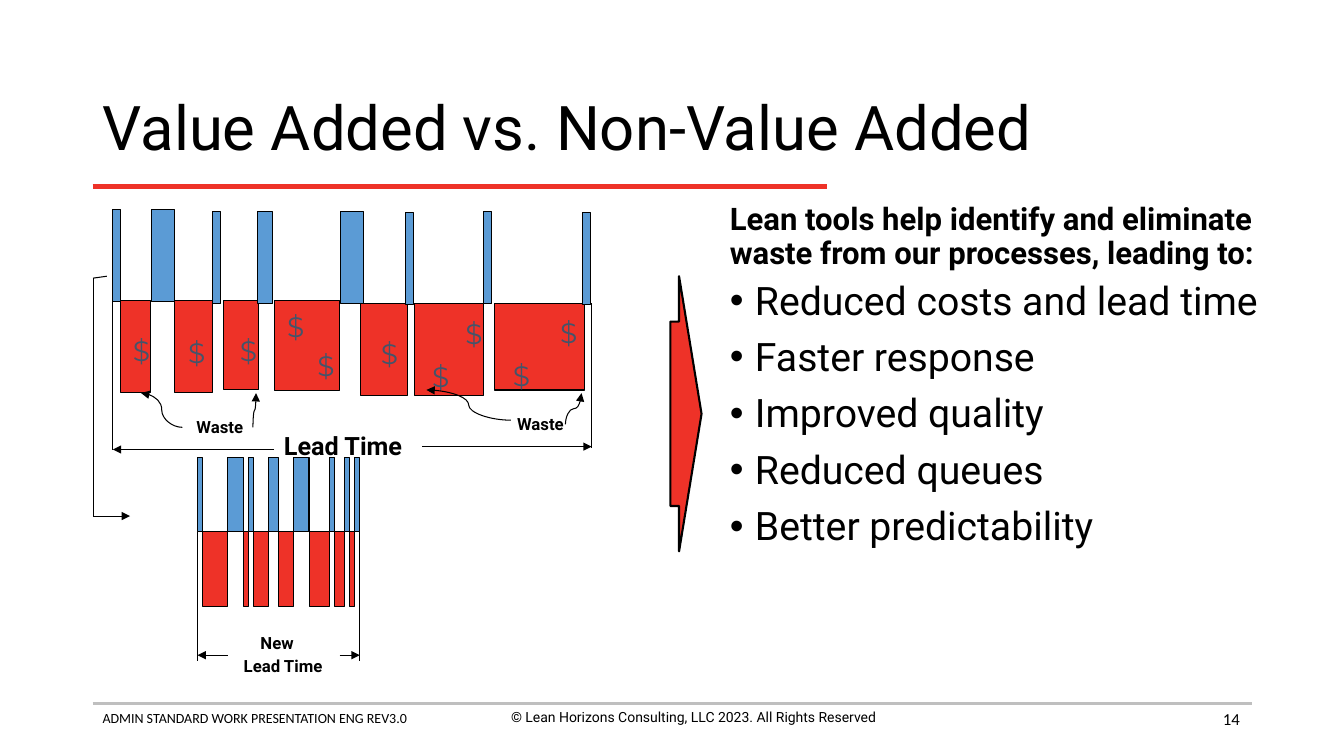
from pptx import Presentation
from pptx.dml.color import RGBColor as RGB
from pptx.enum.shapes import MSO_CONNECTOR as Conn, MSO_SHAPE as Kind
from pptx.enum.text import MSO_ANCHOR as Anchor, MSO_AUTO_SIZE as Fit, PP_ALIGN as Align
from pptx.oxml.ns import qn
from pptx.util import Pt
from lxml.etree import SubElement as Sub

TITLE = "Value Added vs. Non-Value Added"
HEAD = "Lean tools help identify and eliminate waste from our processes, leading to:"
GAINS = ["Reduced costs and lead time", "Faster response", "Improved quality",
         "Reduced queues", "Better predictability"]
HUES = {"red": "EE3228", "blue": "5B9BD5", "black": "000000",
        "grey": "BFBFBF", "slate": "44546A"}

WASTE = [(86.4, 214.6, 20.9, 65.5), (124.6, 214.6, 27.4, 65.5),
         (159.8, 214.6, 25.2, 63.4), (195.8, 214.6, 46.8, 64.1),
         (257.8, 216.7, 33.1, 65.5), (295.9, 216.7, 49.7, 65.5),
         (353.5, 216.7, 64.1, 61.9)]
VALUE = [(80.6, 149.8, 5.8), (108, 149.8, 16.6), (151.9, 151.2, 5.8),
         (183.6, 151.2, 10.8), (243.4, 151.2, 16.6), (289.4, 151.9, 5.8),
         (345.6, 151.2, 5.8), (416.2, 151.9, 5.8)]
TALL = 65.5
COSTS = [(87.8, 234.7), (127.4, 236.2), (164.2, 234.7), (198, 217.4),
         (219.6, 245.5), (265, 236.9), (325.4, 222.5), (301.7, 253.4),
         (393.1, 221.8), (359.3, 252.7)]

UNITS = [1, 5, 3, 1, 1, 3, 2, 3, 3, 4, 1, 2, 1, 1, 1]
UNIT, LEFT, TOP, HIGH = 3.62, 141.1, 327, 53
RIGHT = LEFT + UNIT * sum(UNITS)

RULES = [(80.6, 214.6, 80.6, 321.1), (422.6, 216.7, 422.6, 319.7),
         (76.3, 197.3, 66.5, 198.7), (66.5, 198.7, 66.5, 368.6),
         (LEFT, TOP + HIGH, LEFT, 472.3), (RIGHT, TOP + HIGH, RIGHT, 472.3)]
ARROWS = [(66.5, 368.6, 92.9, 368.6), (195.8, 321.1, 80.6, 321.1),
          (301.7, 319, 422.6, 319), (162.7, 468, LEFT, 468),
          (242.6, 468, RIGHT, 468)]
FLAT = [(130.3, 305.3, 100.8, 280.8), (365, 300.2, 304.6, 278.6)]
STEEP = [(180.7, 305.3, 182.9, 280.8), (403.9, 303.1, 415.4, 280.8)]
LABELS = [("Waste", 133.2, 294.5, 49.7, 21.6, 12),
          ("Waste", 362.2, 292.3, 49.7, 21.6, 12),
          ("Lead Time", 195.8, 303.8, 103.7, 28.8, 18),
          ("New\nLead Time", 167, 448.2, 71.3, 38, 12)]
FOOT = [("ADMIN STANDARD WORK PRESENTATION ENG REV3.0", 66.2, 503.3, 328.3, 31.7,
         10, "Calibri", Align.LEFT, Anchor.TOP),
        ("© Lean Horizons Consulting, LLC 2023. All Rights Reserved", 331.2, 502.6,
         328.3, 31.7, 10, "Roboto", Align.CENTER, Anchor.TOP),
        ("14", 676.8, 499, 216, 28.8, 12, "Calibri", Align.RIGHT, Anchor.MIDDLE)]

deck = Presentation()
deck.slide_width, deck.slide_height = Pt(960), Pt(540)
slide = deck.slides.add_slide(deck.slide_layouts[7])
parts = slide.shapes


def style(par, size, face="Roboto", bold=False, hue="black"):
    for run in par.runs:
        font = run.font
        font.size, font.name, font.bold = Pt(size), face, bold
        font.color.rgb = RGB.from_string(HUES[hue])


def write(text, x, y, w, h, size, face="Roboto", align=Align.LEFT,
          anchor=Anchor.TOP, bold=False, hue="black", wrap=True):
    frame = parts.add_textbox(Pt(x), Pt(y), Pt(w), Pt(h)).text_frame
    frame.text, frame.word_wrap, frame.vertical_anchor = text, wrap, anchor
    for par in frame.paragraphs:
        par.alignment = align
        style(par, size, face, bold, hue)
    return frame


def fill(holder, text, x, y, w, h, size, anchor, bold=False):
    holder.left, holder.top, holder.width, holder.height = Pt(x), Pt(y), Pt(w), Pt(h)
    frame = holder.text_frame
    frame.text, frame.word_wrap = text, True
    frame.auto_size, frame.vertical_anchor = Fit.NONE, anchor
    for i, par in enumerate(frame.paragraphs):
        par.alignment, par.line_spacing = Align.LEFT, 0.9
        par.space_before = Pt(10 if i else 0)
        style(par, size, bold=bold)
    return frame


def block(kind, x, y, w, h, hue, edge=0.75):
    form = parts.add_shape(kind, Pt(x), Pt(y), Pt(w), Pt(h))
    form.shadow.inherit = False
    form.fill.solid()
    form.fill.fore_color.rgb = RGB.from_string(HUES[hue])
    form.line.color.rgb = RGB.from_string(HUES["black"])
    form.line.width = Pt(edge)
    return form


def link(ends, hue="black", width=0.75, kind=Conn.STRAIGHT, tip=False):
    line = parts.add_connector(kind, *map(Pt, ends))
    line.line.color.rgb = RGB.from_string(HUES[hue])
    line.line.width = Pt(width)
    props = line._element.spPr
    if tip:
        Sub(props.find(qn("a:ln")), qn("a:tailEnd"), type="triangle")
    Sub(props, qn("a:effectLst"))
    return props


link((66.2, 502.6, 894.2, 502.6), "grey", 2)
link((66.2, 133.2, 590.4, 133.2), "red", 3)
for item in FOOT:
    write(*item)

title, points, lead = slide.placeholders
fill(title, TITLE, 66.2, 52.6, 828, 80.6, 44, Anchor.MIDDLE)
fill(lead, HEAD, 514.1, 132.5, 408.2, 64.8, 22.2, Anchor.BOTTOM, True)
frame = fill(points, "\n".join(GAINS), 514.1, 197.3, 408.2, 290.2, 28, Anchor.TOP)
for par in frame.paragraphs:
    props = par._p.get_or_add_pPr()
    props.set("marL", str(Pt(18)))
    props.set("indent", str(Pt(-18)))
    Sub(props, qn("a:buFont"), typeface="Arial")
    Sub(props, qn("a:buChar"), char="•")

arrow = block(Kind.RIGHT_ARROW, 478.8, 197.3, 22.3, 196.6, "red", 1.5)
arrow.adjustments[0], arrow.adjustments[1] = 0.67, 0.72

for bar in WASTE:
    block(Kind.RECTANGLE, *bar, "red")
for bar in VALUE:
    block(Kind.RECTANGLE, *bar, TALL, "blue")
for i, count in enumerate(UNITS):
    x = LEFT + UNIT * sum(UNITS[:i])
    block(Kind.RECTANGLE, x, TOP + HIGH * (i % 2), UNIT * count, HIGH,
          "red" if i % 2 else "blue")

for x, y in COSTS:
    frame = write("$", x, y, 16.6, 21.6, 20, "Montserrat", hue="slate", wrap=False)
    props = frame.paragraphs[0].runs[0]._r.get_or_add_rPr()
    edge = Sub(props, qn("a:ln"), w=str(Pt(0.75)))
    Sub(Sub(edge, qn("a:solidFill")), qn("a:srgbClr"), val=HUES["black"])
    props.insert(0, edge)

for ends in RULES:
    link(ends)
for ends in ARROWS:
    link(ends, tip=True)
for ends in FLAT:
    link(ends, kind=Conn.CURVE, tip=True)
for x1, y1, x2, y2 in STEEP:
    mx, my, dx, dy = (x1 + x2) / 2, (y1 + y2) / 2, (x2 - x1) / 2, (y1 - y2) / 2
    props = link((mx - dy, my - dx, mx + dy, my + dx), kind=Conn.CURVE, tip=True)
    props.find(qn("a:xfrm")).set("rot", "16200000")

for text, x, y, w, h, size in LABELS:
    frame = write(text, x, y, w, h, size, bold=True, wrap=False)
first = frame.paragraphs[0]
first.space_after = Pt(2.5)
first._p.get_or_add_pPr().set("marL", str(Pt(12)))

deck.save("out.pptx")
